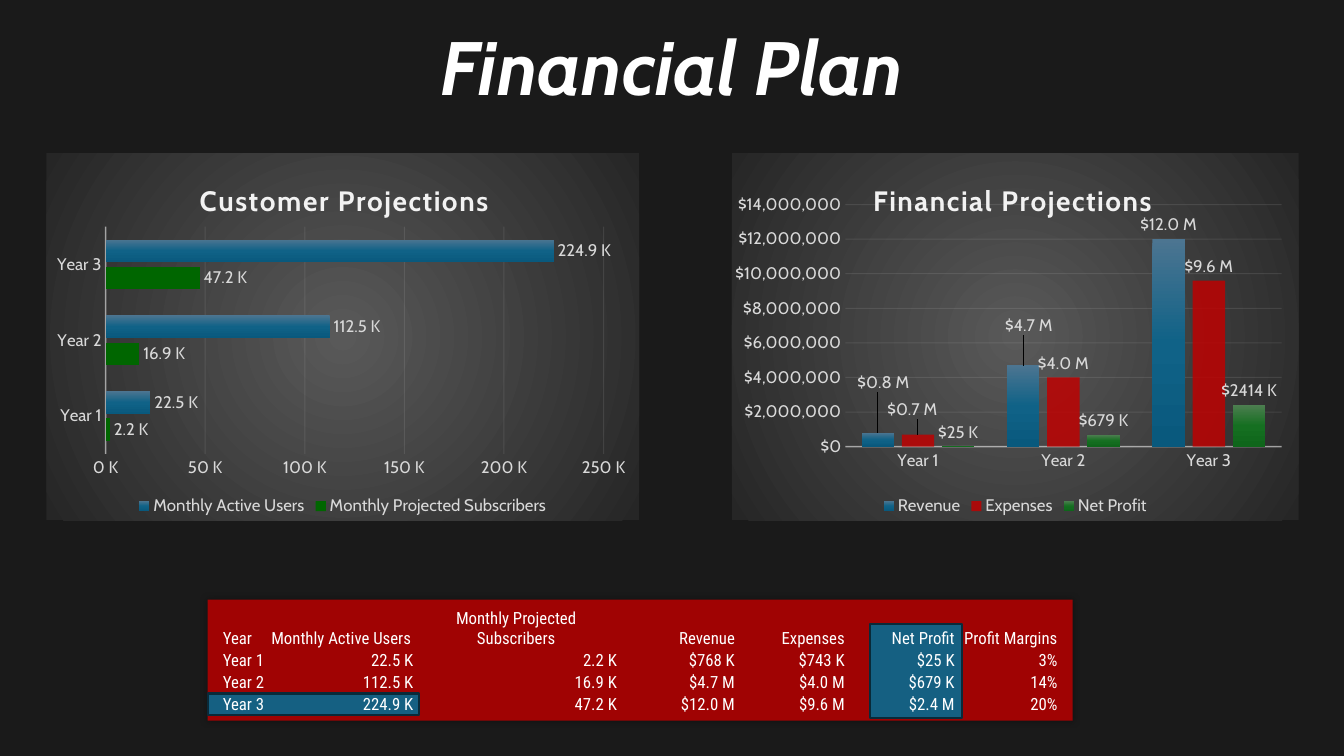
"""Build the Financial Plan slide: two charts above a summary table."""
from lxml import etree
from pptx import Presentation
from pptx.chart.data import CategoryChartData
from pptx.dml.color import RGBColor
from pptx.enum.chart import XL_CHART_TYPE, XL_LABEL_POSITION, XL_LEGEND_POSITION, XL_TICK_MARK
from pptx.enum.shapes import MSO_SHAPE
from pptx.enum.text import MSO_ANCHOR, PP_ALIGN
from pptx.oxml import parse_xml
from pptx.oxml.ns import nsdecls, qn
from pptx.util import Inches, Pt

LEFT, CENTER, RIGHT = PP_ALIGN.LEFT, PP_ALIGN.CENTER, PP_ALIGN.RIGHT
OUTSIDE, NO_TICK = XL_LABEL_POSITION.OUTSIDE_END, XL_TICK_MARK.NONE
RECT, BOTTOM = MSO_SHAPE.RECTANGLE, MSO_ANCHOR.BOTTOM
BACKDROP = RGBColor(0x1A, 0x1A, 0x1A)
WHITE = RGBColor(0xFF, 0xFF, 0xFF)
PALE = RGBColor(0xF2, 0xF2, 0xF2)
LIGHT = RGBColor(0xD9, 0xD9, 0xD9)
RED = RGBColor(0xC0, 0x00, 0x00)
BLUE = RGBColor(0x15, 0x60, 0x82)
NAVY = RGBColor(0x09, 0x2A, 0x39)
GREEN = RGBColor(0x00, 0x66, 0x00)
BLUE_FADE = [(0, "4C7591"), (50, "106287"), (100, "09597D")]
GREEN_FADE = [(0, "4D7E50"), (50, "156F21"), (100, "0F661B")]
PANEL_FADE = [(0, "595959"), (100, "262626")]
DOWN = '<a:lin ang="5400000" scaled="0"/>'
RADIAL = '<a:path path="circle"><a:fillToRect l="50000" t="50000" r="50000" b="50000"/></a:path>'
HEAD_FONT, TABLE_FONT = "Cabin", "Roboto Condensed"

YEARS = ["Year 1", "Year 2", "Year 3"]
MILLIONS = '"$"0.0,,\\ "M"'
CHARTS = [
    dict(title="Customer Projections", kind=XL_CHART_TYPE.BAR_CLUSTERED,
         at=(0.46, 1.52, 5.88, 3.64), title_at=(0.25, 0.06), plot=(0.1, 0.2, 0.84, 0.62),
         gap=115, overlap=-20, axis='0,\\ "K"', top=250000, step=50000,
         series=[("Monthly Projected Subscribers", (2200, 16900, 47200), GREEN, 1, '0.0,\\ "K"', {}),
                 ("Monthly Active Users", (22500, 112500, 224900), BLUE_FADE, 1, '0.0,\\ "K"', {})]),
    dict(title="Financial Projections", kind=XL_CHART_TYPE.COLUMN_CLUSTERED,
         at=(7.26, 1.52, 5.62, 3.64), title_at=(0.24, 0.06), plot=(0.2, 0.14, 0.77, 0.66),
         gap=100, overlap=-24, axis='"$"#,##0', top=14000000, step=2000000,
         series=[("Revenue", (800000, 4700000, 12000000), BLUE_FADE, 1, MILLIONS,
                  {0: (0.01, -0.1), 1: (0.01, -0.07)}),
                 ("Expenses", (700000, 4000000, 9600000), RED, 0.83, MILLIONS, {0: (-0.01, -0.03)}),
                 ("Net Profit", (25000, 679000, 2414000), GREEN_FADE, 1, '"$"0,\\ "K"', {})]),
]
ROWS = [
    ("Year", "Monthly Active Users", "Monthly Projected Subscribers", "Revenue", "Expenses",
     "Net Profit", "Profit Margins"),
    ("Year 1", "22.5 K", "2.2 K", "$768 K", "$743 K", "$25 K", "3%"),
    ("Year 2", "112.5 K", "16.9 K", "$4.7 M", "$4.0 M", "$679 K", "14%"),
    ("Year 3", "224.9 K", "47.2 K", "$12.0 M", "$9.6 M", "$2.4 M", "20%"),
]
COL_WIDTHS = [0.46, 1.45, 2.02, 1.17, 1.09, 1.09, 1.02]
ROW_HEIGHTS = [0.27, 0.22, 0.22, 0.22]
TABLE_AT = (2.2, 6.02, 8.3, 1.07)
PANEL_AT = (2.06, 5.95, 8.58, 1.2)
HIGHLIGHTS = [(8.63, 6.19, 0.91, 0.93), (2.06, 6.88, 2.1, 0.21)]


def inches(box):
    return [Inches(v) for v in box]


def style(font, size, color, name=HEAD_FONT, bold=False, italic=False):
    font.size, font.name, font.bold, font.italic = Pt(size), name, bold, italic
    font.color.rgb = color


def write(tf, text, align=LEFT, line=None, **fmt):
    p = tf.paragraphs[0]
    p.alignment = align
    if line:
        p.line_spacing = Pt(line)
    r = p.add_run()
    r.text = text
    style(r.font, **fmt)
    return r


def set_alpha(parent, alpha):
    color = next(parent.iter(qn("a:srgbClr")))
    etree.SubElement(color, qn("a:alpha")).set("val", str(round(alpha * 100000)))


def gradient(stops, direction):
    gs = "".join(f'<a:gs pos="{pos * 1000}"><a:srgbClr val="{c}"/></a:gs>' for pos, c in stops)
    return parse_xml(f'<a:gradFill {nsdecls("a")} rotWithShape="1"><a:gsLst>{gs}</a:gsLst>{direction}</a:gradFill>')


def layout(x, y, w=None, h=None, inner=False, edge=True):
    parts = '<c:layoutTarget val="inner"/>' if inner else ""
    if edge:
        parts += '<c:xMode val="edge"/><c:yMode val="edge"/>'
    for tag, v in zip("xywh", (x, y, w, h)):
        parts += "" if v is None else f'<c:{tag} val="{v}"/>'
    return parse_xml(f'<c:layout {nsdecls("c")}><c:manualLayout>{parts}</c:manualLayout></c:layout>')


def drop_layout(el):
    for old in el.findall(qn("c:layout")):
        el.remove(old)


def style_line(line, width, alpha):
    line.color.rgb = PALE
    line.width = Pt(width)
    set_alpha(line._get_or_add_ln(), alpha)


def style_series(ser, fill, alpha, fmt, moves):
    ser.invert_if_negative = False
    if isinstance(fill, list):
        ser._element.get_or_add_spPr().insert(0, gradient(fill, DOWN))
    else:
        ser.format.fill.solid()
        ser.format.fill.fore_color.rgb = fill
        if alpha < 1:
            set_alpha(ser._element.get_or_add_spPr(), alpha)
    labels = ser.data_labels
    labels.show_value, labels.position = True, OUTSIDE
    labels.number_format, labels.number_format_is_linked = fmt, False
    style(labels.font, 12, LIGHT)
    for i, move in moves.items():
        label = ser.points[i].data_label
        label.position = OUTSIDE
        style(label.font, 12, LIGHT)
        idx = labels._element.find(f'{qn("c:dLbl")}/{qn("c:idx")}[@val="{i}"]')
        number = etree.Element(qn("c:numFmt"), formatCode=fmt, sourceLinked="0")
        idx.addnext(number)
        idx.addnext(layout(*move, edge=False))


def add_chart(s, c):
    data = CategoryChartData()
    data.categories = YEARS
    for name, values, *_ in c["series"]:
        data.add_series(name, values)
    chart = s.shapes.add_chart(c["kind"], *inches(c["at"]), data).chart
    style(chart.font, 10, LIGHT)
    chart.has_title = True
    r = write(chart.chart_title.text_frame, c["title"], CENTER, size=20, color=PALE, bold=True)
    r.font._element.set("spc", "100")
    title = chart.chart_title._element
    drop_layout(title)
    title.find(qn("c:tx")).addnext(layout(*c["title_at"]))
    area = chart._chartSpace.chart.plotArea
    drop_layout(area)
    area.insert(0, layout(*c["plot"], inner=True))
    panel = parse_xml(f'<c:spPr {nsdecls("c", "a")}><a:ln><a:noFill/></a:ln></c:spPr>')
    panel.insert(0, gradient(PANEL_FADE, RADIAL))
    chart._chartSpace.chart.addnext(panel)
    chart.has_legend = True
    chart.legend.position, chart.legend.include_in_layout = XL_LEGEND_POSITION.BOTTOM, False
    style(chart.legend.font, 12, LIGHT)
    cat, val = chart.category_axis, chart.value_axis
    for axis in (cat, val):
        axis.major_tick_mark = axis.minor_tick_mark = NO_TICK
        style(axis.tick_labels.font, 12, LIGHT)
    style_line(cat.format.line, 1, 0.54)
    val.format.line.fill.background()
    val.minimum_scale, val.maximum_scale, val.major_unit = 0, c["top"], c["step"]
    val.tick_labels.number_format, val.tick_labels.number_format_is_linked = c["axis"], False
    style_line(val.major_gridlines.format.line, 0.75, 0.1)
    plot = chart.plots[0]
    plot.gap_width, plot.overlap, plot.vary_by_categories = c["gap"], c["overlap"], False
    for ser, (_, _, *look) in zip(plot.series, c["series"]):
        style_series(ser, *look)


def add_rect(s, box, fill):
    sp = s.shapes.add_shape(RECT, *inches(box))
    sp.shadow.inherit = False
    sp.fill.solid()
    sp.fill.fore_color.rgb = fill
    return sp


def add_table(s):
    table = s.shapes.add_table(len(ROWS), len(COL_WIDTHS), *inches(TABLE_AT)).table
    table.first_row = table.horz_banding = False
    for col, w in zip(table.columns, COL_WIDTHS):
        col.width = Inches(w)
    for i, (row, h) in enumerate(zip(ROWS, ROW_HEIGHTS)):
        table.rows[i].height = Inches(h)
        for j, text in enumerate(row):
            cell = table.cell(i, j)
            cell.fill.background()
            cell.vertical_anchor = BOTTOM
            centred = i == 0 and j in (1, 2)
            side = 0.1 if centred and j == 2 else 0.01
            cell.margin_left = cell.margin_right = Inches(side)
            cell.margin_top, cell.margin_bottom = Inches(0.01), 0
            align = LEFT if j == 0 else CENTER if centred else RIGHT
            write(cell.text_frame, text, align, size=12, color=WHITE, name=TABLE_FONT)
            for tag in ("a:lnB", "a:lnT", "a:lnR", "a:lnL"):
                ln = etree.Element(qn(tag), w="0")
                etree.SubElement(ln, qn("a:noFill"))
                cell._tc.tcPr.insert(0, ln)


def main():
    prs = Presentation()
    prs.slide_width, prs.slide_height = Inches(13.33), Inches(7.5)
    s = prs.slides.add_slide(prs.slide_layouts[6])
    s.background.fill.solid()
    s.background.fill.fore_color.rgb = BACKDROP
    tf = s.shapes.add_textbox(*inches((0, 0.46, 13.33, 0.59))).text_frame
    tf.word_wrap = True
    write(tf, "Financial Plan", CENTER, line=42.7, size=54, color=WHITE, bold=True, italic=True)
    panel = add_rect(s, PANEL_AT, RED)
    panel.line.fill.background()
    set_alpha(panel._element.spPr, 0.82)
    effects = panel._element.spPr.find(qn("a:effectLst"))
    effects.append(parse_xml(f'<a:outerShdw {nsdecls("a")} blurRad="63500" dist="0" dir="0">'
                             '<a:srgbClr val="000000"><a:alpha val="40000"/></a:srgbClr></a:outerShdw>'))
    for box in HIGHLIGHTS:
        sp = add_rect(s, box, BLUE)
        sp.line.color.rgb, sp.line.width = NAVY, Pt(1.5)
    for c in CHARTS:
        add_chart(s, c)
    add_table(s)
    prs.save("out.pptx")


if __name__ == "__main__":
    main()
